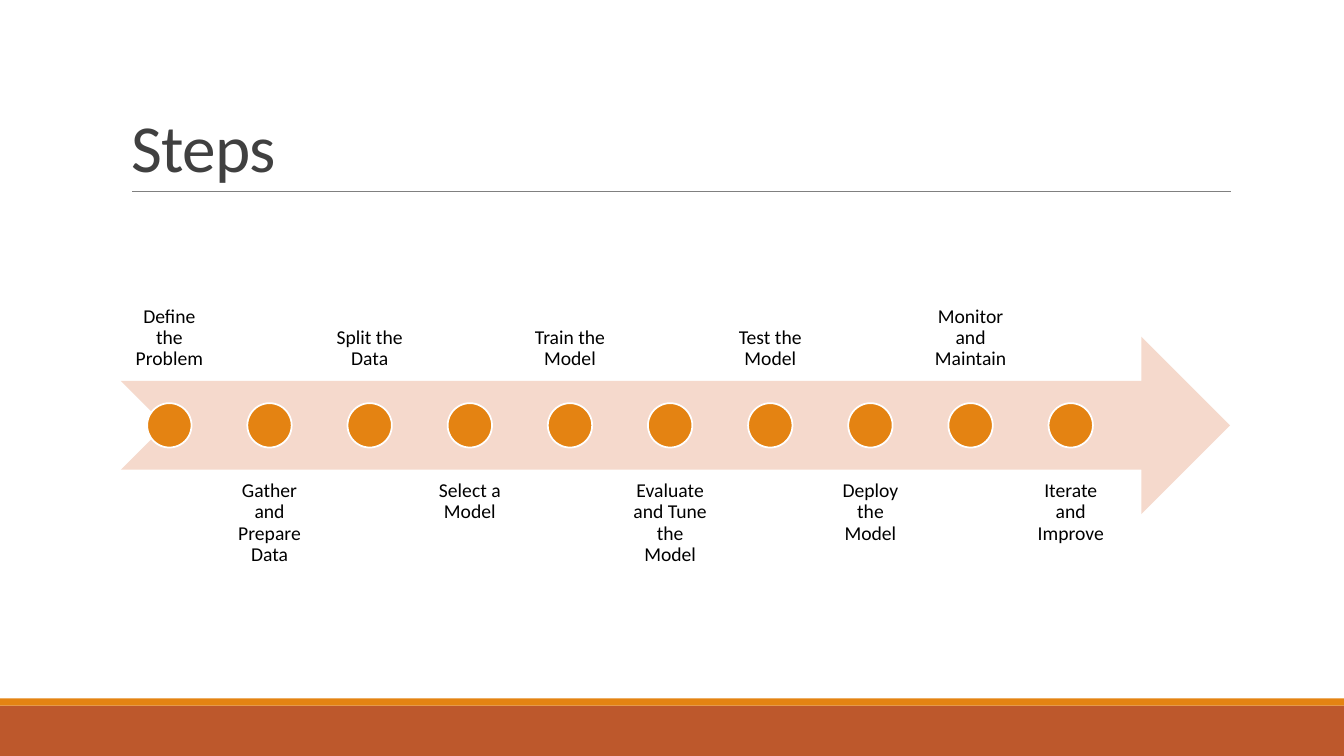
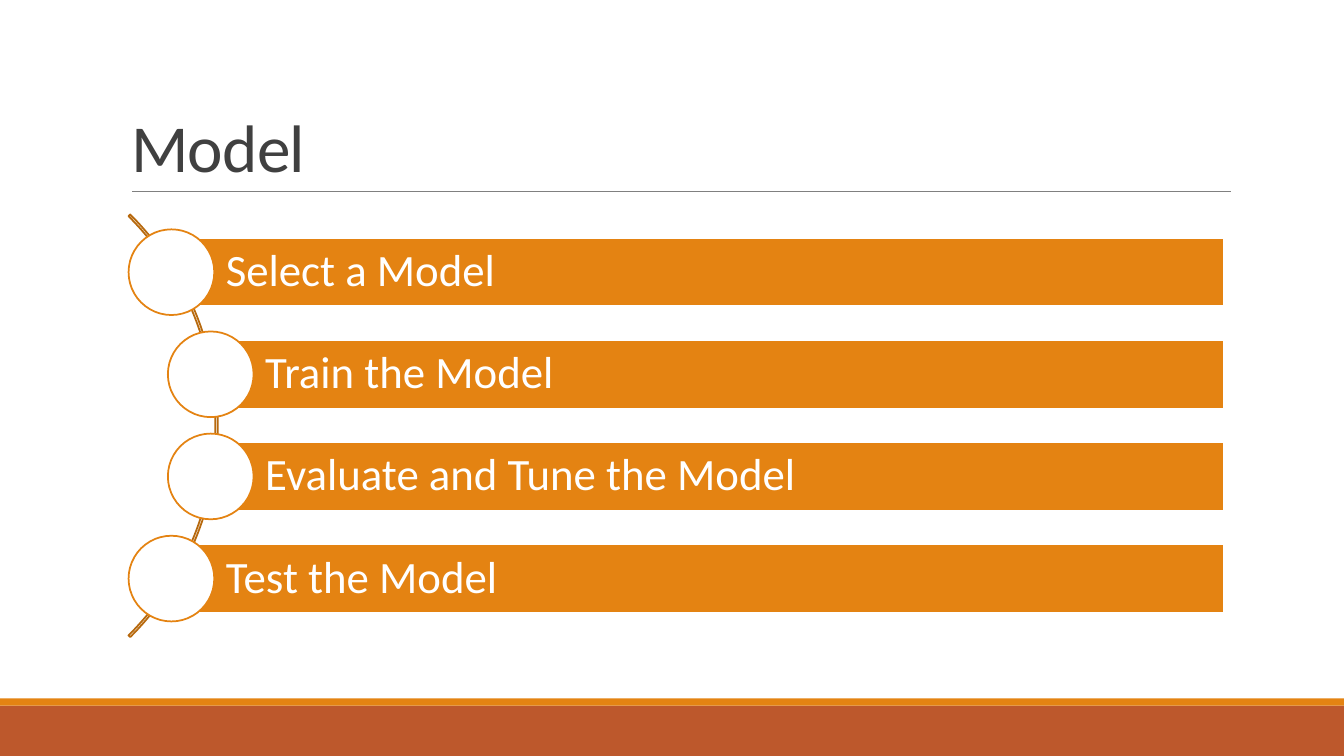
from pptx import Presentation
from pptx.dml.color import RGBColor
from pptx.enum.shapes import MSO_CONNECTOR, MSO_SHAPE
from pptx.enum.text import MSO_ANCHOR, MSO_AUTO_SIZE, PP_ALIGN
from pptx.oxml.ns import qn
from pptx.util import Inches, Pt
from lxml import etree

ORANGE = RGBColor(0xE4, 0x83, 0x12)
RUST = RGBColor(0xBD, 0x58, 0x2C)
BROWN = RGBColor(0xB7, 0x69, 0x0E)
PEACH = RGBColor(0xF5, 0xD9, 0xCC)
WHITE = RGBColor(0xFF, 0xFF, 0xFF)
BLACK = RGBColor(0, 0, 0)
TITLE_GRAY = RGBColor(0x40, 0x40, 0x40)
RULE_GRAY = RGBColor(0x80, 0x80, 0x80)
FONT = "Calibri"

STEPS = [
    "Define the Problem", "Gather and Prepare Data", "Split the Data",
    "Select a Model", "Train the Model", "Evaluate and Tune the Model",
    "Test the Model", "Deploy the Model", "Monitor and Maintain",
    "Iterate and Improve",
]
MODEL_STAGES = [
    ("Select a Model", 1.7),
    ("Train the Model", 2.09),
    ("Evaluate and Tune the Model", 2.09),
    ("Test the Model", 1.7),
]


def add_shape(slide, kind, left, top, width, height, fill=None, line=None):
    shape = slide.shapes.add_shape(
        kind, Inches(left), Inches(top), Inches(width), Inches(height))
    shape.shadow.inherit = False
    if fill is None:
        shape.fill.background()
    else:
        shape.fill.solid()
        shape.fill.fore_color.rgb = fill
    if line is None:
        shape.line.fill.background()
    else:
        shape.line.color.rgb = line
        shape.line.width = Pt(1.25)
    return shape


def add_circle(slide, center_x, center_y, size, fill, line):
    return add_shape(slide, MSO_SHAPE.OVAL, center_x - size / 2,
                     center_y - size / 2, size, size, fill, line)


def add_rule(slide, left, right, y):
    rule = slide.shapes.add_connector(
        MSO_CONNECTOR.STRAIGHT, Inches(left), Inches(y), Inches(right), Inches(y))
    rule.line.color.rgb = RULE_GRAY
    rule.line.width = Pt(0.5)
    etree.SubElement(rule.element.spPr, qn("a:effectLst"))
    return rule


def write_text(shape, text, size, color, align, anchor, spacing):
    frame = shape.text_frame
    frame.word_wrap = True
    frame.auto_size = MSO_AUTO_SIZE.NONE
    frame.vertical_anchor = anchor
    paragraph = frame.paragraphs[0]
    paragraph.alignment = align
    paragraph.line_spacing = spacing
    run = paragraph.add_run()
    run.text = text
    run.font.name = FONT
    run.font.size = Pt(size)
    run.font.color.rgb = color
    return run


def set_insets(shape, left, other):
    frame = shape.text_frame
    frame.margin_left = Inches(left)
    frame.margin_right = frame.margin_top = frame.margin_bottom = Inches(other)


def build_layout(layout, slide):
    frame_parts = [
        add_shape(slide, MSO_SHAPE.RECTANGLE, 0, 7, 13.33, 0.5, RUST),
        add_shape(slide, MSO_SHAPE.RECTANGLE, 0, 6.93, 13.33, 0.07, ORANGE),
        add_rule(slide, 1.31, 12.21, 1.9),
    ]
    for index, part in enumerate(frame_parts):
        layout.shapes.element.insert(2 + index, part.element)
    title = layout.placeholders[0]
    title.left, title.top = Inches(1.2), Inches(0.31)
    title.width, title.height = Inches(11), Inches(1.59)


def set_title(slide, text):
    run = write_text(slide.shapes.title, text, 48, TITLE_GRAY,
                     PP_ALIGN.LEFT, MSO_ANCHOR.BOTTOM, 0.85)
    run.font._element.set("spc", "-50")


def add_step_label(slide, text, center_x, above):
    width, height = 0.95, 1.76
    label = slide.shapes.add_textbox(
        Inches(center_x - width / 2), Inches(2.02 if above else 4.66),
        Inches(width), Inches(height))
    set_insets(label, 0.1, 0.11)
    label.text_frame.margin_right = Inches(0.1)
    write_text(label, text, 14, BLACK, PP_ALIGN.CENTER,
               MSO_ANCHOR.BOTTOM if above else MSO_ANCHOR.TOP, 0.9)


def fill_steps(slide):
    set_title(slide, "Steps")
    add_shape(slide, MSO_SHAPE.NOTCHED_RIGHT_ARROW, 1.2, 3.34, 11, 1.76, PEACH)
    first, last = 1.68, 10.62
    pitch = (last - first) / (len(STEPS) - 1)
    for index, step in enumerate(STEPS):
        center_x = first + index * pitch
        add_step_label(slide, step, center_x, above=index % 2 == 0)
        add_circle(slide, center_x, 4.22, 0.44, ORANGE, WHITE)


def add_stage(slide, text, left, center_y):
    right, height = 12.14, 0.68
    bar = add_shape(slide, MSO_SHAPE.RECTANGLE, left, center_y - height / 2,
                    right - left, height, ORANGE, WHITE)
    set_insets(bar, 0.54, 0.09)
    write_text(bar, text, 32, WHITE, PP_ALIGN.LEFT, MSO_ANCHOR.MIDDLE, 0.9)
    add_circle(slide, left, center_y, 0.85, WHITE, ORANGE)


def fill_model(slide):
    set_title(slide, "Model")
    arc = add_shape(slide, MSO_SHAPE.BLOCK_ARC, -3.77, 1.26, 5.93, 5.93, line=BROWN)
    for index, value in enumerate((189, 27, 0.004)):
        arc.adjustments[index] = value
    first, last = 2.7, 5.74
    pitch = (last - first) / (len(MODEL_STAGES) - 1)
    for index, (text, left) in enumerate(MODEL_STAGES):
        add_stage(slide, text, left, first + index * pitch)


def main():
    presentation = Presentation()
    presentation.slide_width = Inches(13.33)
    presentation.slide_height = Inches(7.5)
    layout = presentation.slide_layouts[5]
    steps = presentation.slides.add_slide(layout)
    build_layout(layout, steps)
    fill_steps(steps)
    fill_model(presentation.slides.add_slide(layout))
    presentation.save("out.pptx")


main()
